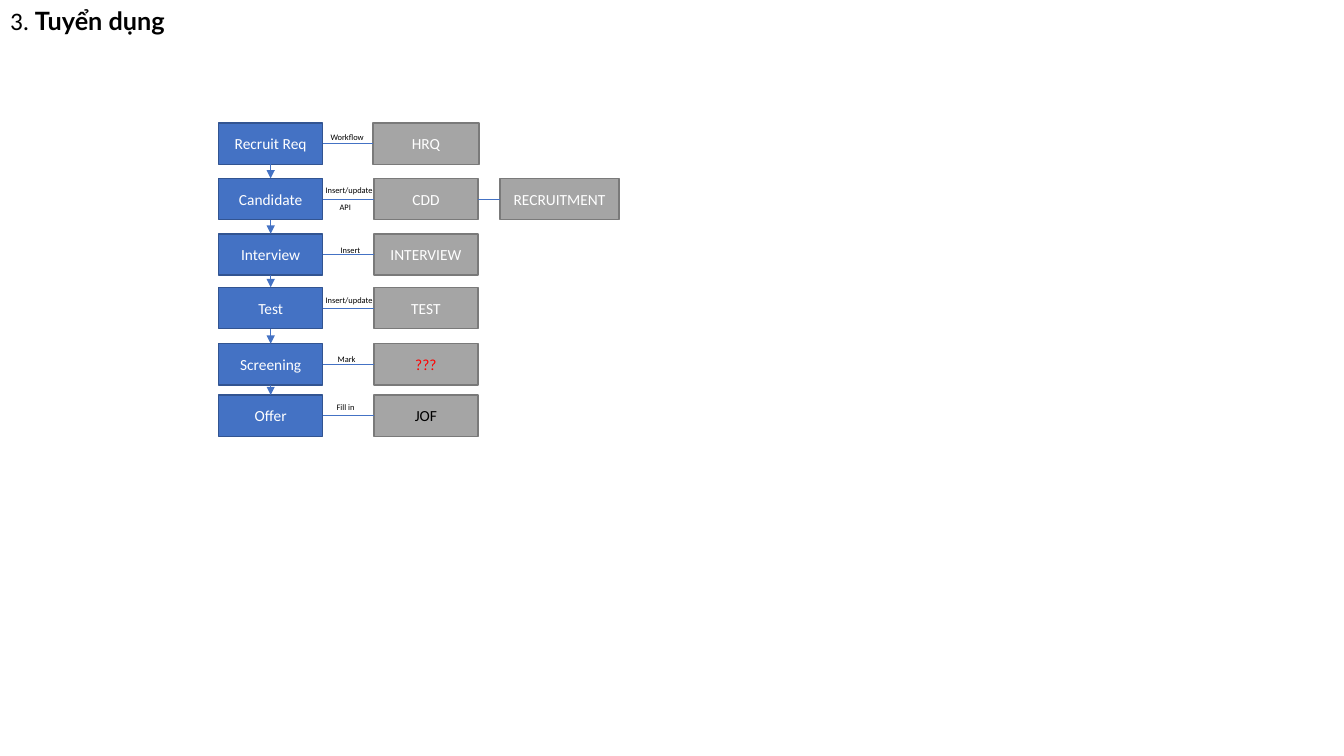
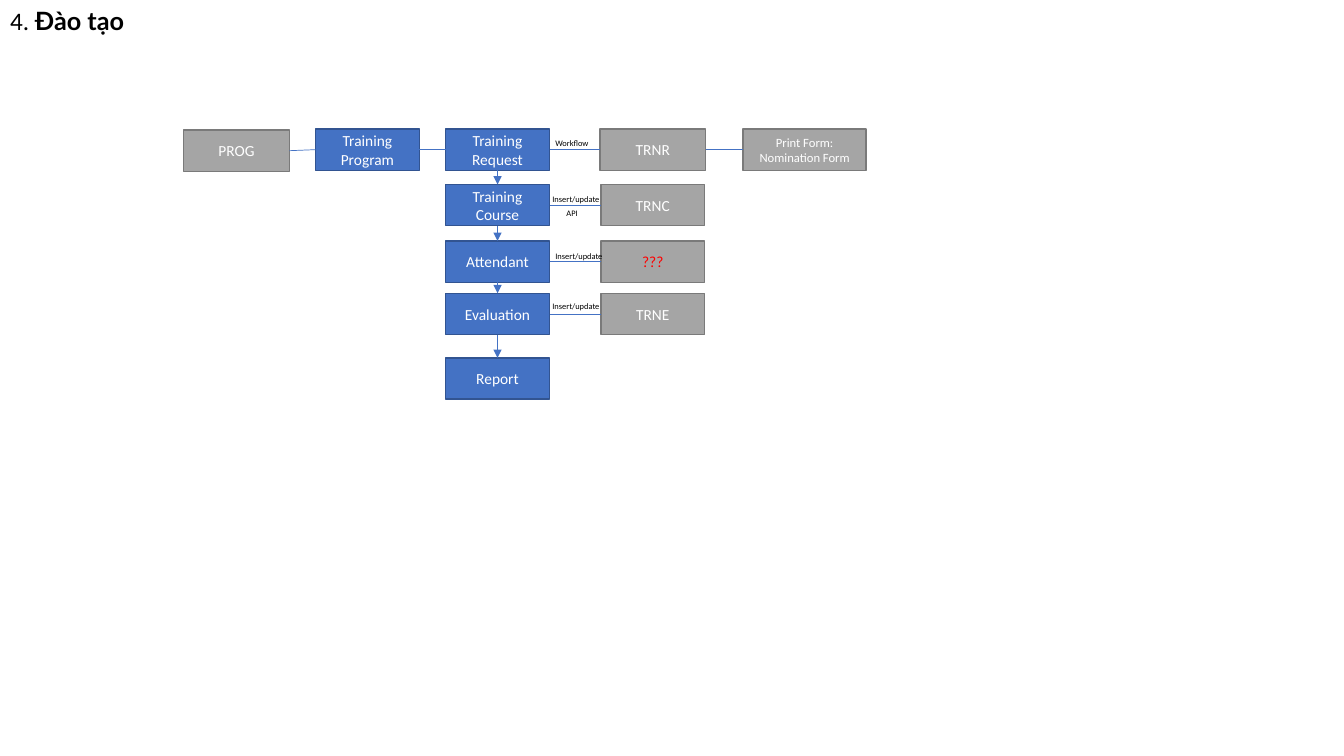
from dataclasses import dataclass, field

from lxml import etree
from pptx import Presentation
from pptx.dml.color import RGBColor
from pptx.enum.shapes import MSO_CONNECTOR, MSO_SHAPE
from pptx.enum.text import MSO_ANCHOR, MSO_AUTO_SIZE, PP_ALIGN
from pptx.oxml.ns import qn
from pptx.util import Emu, Pt

STRAIGHT = MSO_CONNECTOR.STRAIGHT
RECTANGLE = MSO_SHAPE.RECTANGLE
MIDDLE = MSO_ANCHOR.MIDDLE
GROW = MSO_AUTO_SIZE.SHAPE_TO_FIT_TEXT
LEFT, CENTER = PP_ALIGN.LEFT, PP_ALIGN.CENTER
SITE_TOP, SITE_LEFT, SITE_BOTTOM, SITE_RIGHT = range(4)

EMU_PER_PX = 9144  # 100 px to the inch
PAGE_WIDTH, PAGE_HEIGHT = 1333, 750
TITLE_HEIGHT = 40
BOX_WIDTH, BOX_HEIGHT = 103, 41
CODE_OFFSET = 154
LABEL_HEIGHT = 20
TITLE_ONLY_LAYOUT = 5
FONT, TITLE_FONT = "Calibri", "Lato"

COLORS = {
    "step": "4472C4",
    "step_edge": "325491",
    "code": "A5A5A5",
    "code_edge": "7A7A7A",
    "white": "FFFFFF",
    "black": "000000",
    "red": "FF0000",
}
LABEL_WIDTHS = {
    "Workflow": 54, "Insert/update": 68, "API": 32,
    "Insert": 40, "Mark": 38, "Fill in": 38,
}


@dataclass
class Label:
    """Small note, placed relative to the corner of its step."""
    text: str
    dx: int
    dy: int


@dataclass
class Step:
    """Blue process box, with the grey code it feeds on its right."""
    top: int
    name: str
    code: str = ""
    labels: list[Label] = field(default_factory=list)
    ink: str = "white"
    code_width: int = BOX_WIDTH


@dataclass
class SideBox:
    """Box beside the main columns, linked to a box already drawn."""
    text: str
    left: int
    top: int
    width: int
    neighbour: str
    kind: str = "code"
    size: int = 11


@dataclass
class Flow:
    number: str
    name: str
    left: int
    steps: list[Step]
    sides: list[SideBox]


FLOWS = [
    Flow("3. ", "Tuyển dụng", 217, [
        Step(122, "Recruit Req", "HRQ", [Label("Workflow", 101, 4)], code_width=105),
        Step(177, "Candidate", "CDD",
             [Label("Insert/update", 96, 2), Label("API", 110, 19)]),
        Step(232, "Interview", "INTERVIEW", [Label("Insert", 111, 6)]),
        Step(285, "Test", "TEST", [Label("Insert/update", 96, 3)]),
        Step(341, "Screening", "???", [Label("Mark", 108, 5)], ink="red"),
        Step(392, "Offer", "JOF", [Label("Fill in", 107, 2)], ink="black"),
    ], [
        SideBox("RECRUITMENT", 496, 177, 118, "CDD"),
    ]),
    Flow("4. ", "Đào tạo", 442, [
        Step(128, "Training Request", "TRNR", [Label("Workflow", 99, 4)], code_width=105),
        Step(183, "Training Course", "TRNC",
             [Label("Insert/update", 96, 5), Label("API", 110, 19)]),
        Step(239, "Attendant", "???", [Label("Insert/update", 99, 5)], ink="red"),
        Step(291, "Evaluation", "TRNE", [Label("Insert/update", 96, 3)]),
        Step(355, "Report"),
    ], [
        SideBox("Training Program", 313, 128, BOX_WIDTH, "Training Request", "step"),
        SideBox("PROG", 182, 129, 105, "Training Program"),
        SideBox("Print Form: Nomination Form", 737, 128, 122, "TRNR", size=9),
    ]),
]


def px(length: int) -> Emu:
    return Emu(length * EMU_PER_PX)


def rgb(name: str) -> RGBColor:
    return RGBColor.from_string(COLORS[name])


def add_span(para, text: str, size: int, ink: str, font: str = FONT,
             bold: bool = False) -> None:
    span = para.add_run()
    span.text = text
    span.font.name = font
    span.font.size = Pt(size)
    span.font.bold = bold
    span.font.color.rgb = rgb(ink)


def add_title(page, number: str, name: str) -> None:
    title = page.shapes.title
    title.left, title.top = px(0), px(0)
    title.width, title.height = px(PAGE_WIDTH), px(TITLE_HEIGHT)
    frame = title.text_frame
    frame.word_wrap = True
    frame.auto_size = GROW
    para = frame.paragraphs[0]
    para.alignment = LEFT
    add_span(para, number, 18, "black")
    add_span(para, name, 18, "black", TITLE_FONT, True)


def add_box(page, text: str, left: int, top: int, width: int, kind: str,
            ink: str = "white", size: int = 11):
    box = page.shapes.add_shape(RECTANGLE, px(left), px(top), px(width), px(BOX_HEIGHT))
    box.shadow.inherit = False
    box.fill.solid()
    box.fill.fore_color.rgb = rgb(kind)
    box.line.color.rgb = rgb(f"{kind}_edge")
    box.line.width = Pt(1)
    frame = box.text_frame
    frame.word_wrap = True
    frame.vertical_anchor = MIDDLE
    para = frame.paragraphs[0]
    para.alignment = CENTER
    add_span(para, text, size, ink)
    return box


def add_label(page, label: Label, left: int, top: int) -> None:
    box = page.shapes.add_textbox(px(left + label.dx), px(top + label.dy),
                                  px(LABEL_WIDTHS[label.text]), px(LABEL_HEIGHT))
    frame = box.text_frame
    frame.word_wrap = False
    frame.auto_size = GROW
    add_span(frame.paragraphs[0], label.text, 6, "black")


def add_link(page, start, start_site: int, end, end_site: int,
             arrow: bool = False) -> None:
    link = page.shapes.add_connector(STRAIGHT, 0, 0, 0, 0)
    link.begin_connect(start, start_site)
    link.end_connect(end, end_site)
    link.line.color.rgb = rgb("step")
    link.line.width = Pt(0.5)
    if arrow:
        etree.SubElement(link.line._get_or_add_ln(), qn("a:tailEnd"), type="triangle")
    etree.SubElement(link._element.spPr, qn("a:effectLst"))


def add_steps(page, flow: Flow) -> dict:
    """Draw both columns and return the boxes by their text."""
    boxes = {}
    previous = None
    for step in flow.steps:
        box = add_box(page, step.name, flow.left, step.top, BOX_WIDTH, "step")
        boxes[step.name] = box
        if previous is not None:
            add_link(page, previous, SITE_BOTTOM, box, SITE_TOP, arrow=True)
        previous = box
        if step.code:
            code_left = flow.left + CODE_OFFSET - (step.code_width - BOX_WIDTH) // 2
            code = add_box(page, step.code, code_left, step.top,
                           step.code_width, "code", step.ink)
            boxes[step.code] = code
            add_link(page, box, SITE_RIGHT, code, SITE_LEFT)
        for label in step.labels:
            add_label(page, label, flow.left, step.top)
    return boxes


def add_sides(page, sides: list[SideBox], boxes: dict) -> None:
    for side in sides:
        box = add_box(page, side.text, side.left, side.top, side.width,
                      side.kind, size=side.size)
        boxes[side.text] = box
        first, second = sorted((box, boxes[side.neighbour]), key=lambda item: item.left)
        add_link(page, first, SITE_RIGHT, second, SITE_LEFT)


def main() -> None:
    deck = Presentation()
    deck.slide_width, deck.slide_height = px(PAGE_WIDTH), px(PAGE_HEIGHT)
    for flow in FLOWS:
        page = deck.slides.add_slide(deck.slide_layouts[TITLE_ONLY_LAYOUT])
        add_title(page, flow.number, flow.name)
        boxes = add_steps(page, flow)
        add_sides(page, flow.sides, boxes)
    deck.save("out.pptx")


if __name__ == "__main__":
    main()
